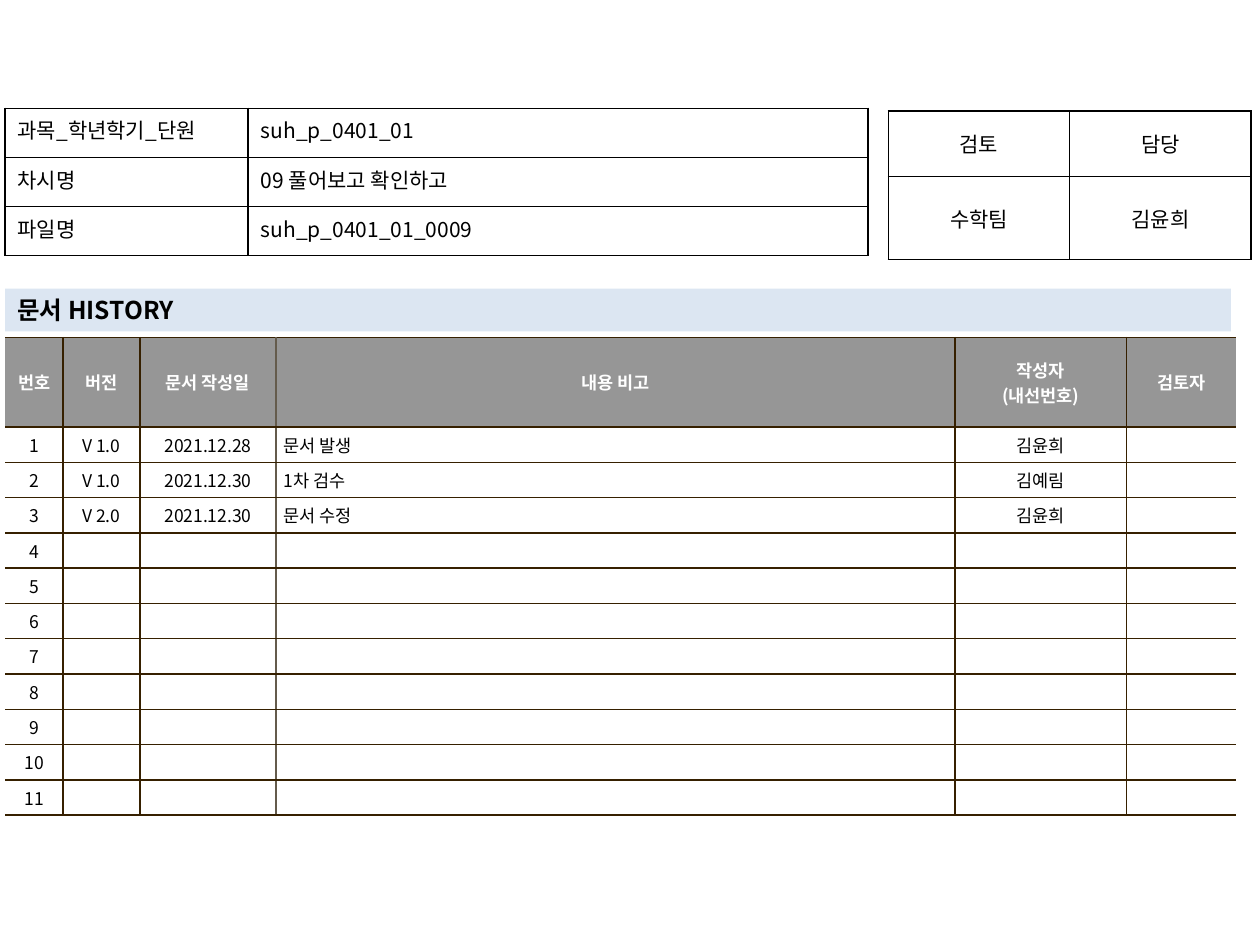
import pptx
import pptx.dml.color
import pptx.enum.shapes
import pptx.enum.text
import pptx.oxml
import pptx.oxml.ns
import pptx.util

Inches = pptx.util.Inches
Pt = pptx.util.Pt
Align = pptx.enum.text.PP_ALIGN
Anchor = pptx.enum.text.MSO_ANCHOR

FONT = "Noto Sans CJK KR"
BLACK, WHITE, GRAY, PALE_BLUE = "000000", "FFFFFF", "969696", "DCE6F2"
BROWN, LIGHT_BROWN = "362000", "645B4C"

INFO_ROWS = [
    ["과목_학년학기_단원", "suh_p_0401_01"],
    ["차시명", "09 풀어보고 확인하고"],
    ["파일명", "suh_p_0401_01_0009"],
]
APPROVAL_ROWS = [["검토", "담당"], ["수학팀", "김윤희"]]
HISTORY_HEADER = ["번호", "버전", "문서 작성일", "내용 비고", "작성자\n(내선번호)", "검토자"]
HISTORY_ENTRIES = [
    ["V 1.0", "2021.12.28", "문서 발생", "김윤희", ""],
    ["V 1.0", "2021.12.30", "1차 검수", "김예림", ""],
    ["V 2.0", "2021.12.30", "문서 수정", "김윤희", ""],
]
HISTORY_LENGTH = 11
NOTE_COLUMN = 3


def color(value):
    return pptx.dml.color.RGBColor.from_string(value)


def add_element(parent, tag, **attributes):
    element = pptx.oxml.ns.qn(tag)
    child = parent.makeelement(element, attributes)
    parent.append(child)
    return child


class SlideBuilder:
    def __init__(self, page, font):
        self.page = page
        self.font = font

    def style_text(self, frame, size, ink=BLACK, bold=False, align=Align.LEFT):
        for para in frame.paragraphs:
            para.alignment = align
            for span in para.runs:
                span.font.size = Pt(size)
                span.font.name = self.font
                span.font.bold = bold
                span.font.color.rgb = color(ink)
                add_element(span.font._element, "a:ea", typeface=self.font)
            if not para.runs:
                # An empty cell would otherwise take the default 18 pt height.
                add_element(para._p, "a:endParaRPr", sz=str(size * 100))

    def bar(self, left, top, width, height, text, fill, size):
        box = self.page.shapes.add_shape(
            pptx.enum.shapes.MSO_SHAPE.RECTANGLE,
            Inches(left), Inches(top), Inches(width), Inches(height))
        box.shadow.inherit = False
        box.fill.solid()
        box.fill.fore_color.rgb = color(fill)
        box.line.fill.background()
        box.text_frame.text = text
        box.text_frame.vertical_anchor = Anchor.MIDDLE
        self.style_text(box.text_frame, size, bold=True)

    def table(self, left, top, widths, heights, rows):
        """Add an unstyled table and return it with its text filled in."""
        grid = self.page.shapes.add_table(
            len(heights), len(widths), Inches(left), Inches(top),
            Inches(sum(widths)), Inches(sum(heights))).table
        grid.first_row = grid.horz_banding = False
        for column, width in zip(grid.columns, widths):
            column.width = Inches(width)
        for row, height, texts in zip(grid.rows, heights, rows):
            row.height = Inches(height)
            for cell, text in zip(row.cells, texts):
                cell.text_frame.text = text
        return grid

    def style_cell(self, cell, borders, size, fill=None, anchor=Anchor.MIDDLE,
                   margins=(0.1, 0.05), **text_style):
        """Borders are colours for left, right, top and bottom; None hides one."""
        cell.vertical_anchor = anchor
        cell.margin_left = cell.margin_right = Inches(margins[0])
        cell.margin_top = cell.margin_bottom = Inches(margins[1])
        properties = cell._tc.get_or_add_tcPr()
        for side, ink in zip("LRTB", borders):
            line = add_element(properties, f"a:ln{side}", w=str(Pt(1)))
            if ink:
                line_fill = add_element(line, "a:solidFill")
                add_element(line_fill, "a:srgbClr", val=ink)
            else:
                add_element(line, "a:noFill")
        if fill:
            cell.fill.solid()
            cell.fill.fore_color.rgb = color(fill)
        else:
            cell.fill.background()
        self.style_text(cell.text_frame, size, **text_style)

    def plain_table(self, left, top, widths, heights, rows, anchor, align):
        grid = self.table(left, top, widths, heights, rows)
        for cell in grid.iter_cells():
            self.style_cell(cell, [BLACK] * 4, 12, anchor=anchor, align=align)

    def history_table(self, left, top, widths, heights, rows):
        grid = self.table(left, top, widths, heights, rows)
        inner = [BROWN] * (len(widths) - 1)
        inner[NOTE_COLUMN - 1] = LIGHT_BROWN
        verticals = [None, *inner, None]
        for row_index, row in enumerate(grid.rows):
            header = row_index == 0
            for column, cell in enumerate(row.cells):
                note = column == NOTE_COLUMN and not header
                self.style_cell(
                    cell, [verticals[column], verticals[column + 1], BROWN, BROWN], 10,
                    fill=GRAY if header else WHITE, margins=(0.06, 0.04),
                    ink=WHITE if header else BLACK, bold=header,
                    align=Align.LEFT if note else Align.CENTER)
                if note:
                    indent = Inches(0.19)
                    paragraph = cell.text_frame.paragraphs[0]._p.get_or_add_pPr()
                    paragraph.set("marL", str(indent))
                    paragraph.set("indent", str(-indent))


def main():
    deck = pptx.Presentation()
    deck.slide_width, deck.slide_height = Inches(10), Inches(7.5)
    builder = SlideBuilder(deck.slides.add_slide(deck.slide_layouts[6]), FONT)

    blank_entries = [[""] * 5] * (HISTORY_LENGTH - len(HISTORY_ENTRIES))
    entries = enumerate(HISTORY_ENTRIES + blank_entries, start=1)
    history = [HISTORY_HEADER] + [[str(number), *entry] for number, entry in entries]
    builder.history_table(0.04, 2.68, [0.46, 0.61, 1.08, 5.39, 1.36, 0.87],
                          [0.71] + [0.25] * HISTORY_LENGTH, history)
    builder.plain_table(7.05, 0.88, [1.44] * 2, [0.52, 0.66], APPROVAL_ROWS,
                        Anchor.MIDDLE, Align.CENTER)
    builder.bar(0.04, 2.29, 9.73, 0.34, "문서 HISTORY", PALE_BLUE, 14)
    builder.plain_table(0.04, 0.86, [1.93, 4.92], [0.39] * 3, INFO_ROWS,
                        Anchor.TOP, Align.LEFT)
    deck.save("out.pptx")


if __name__ == "__main__":
    main()
